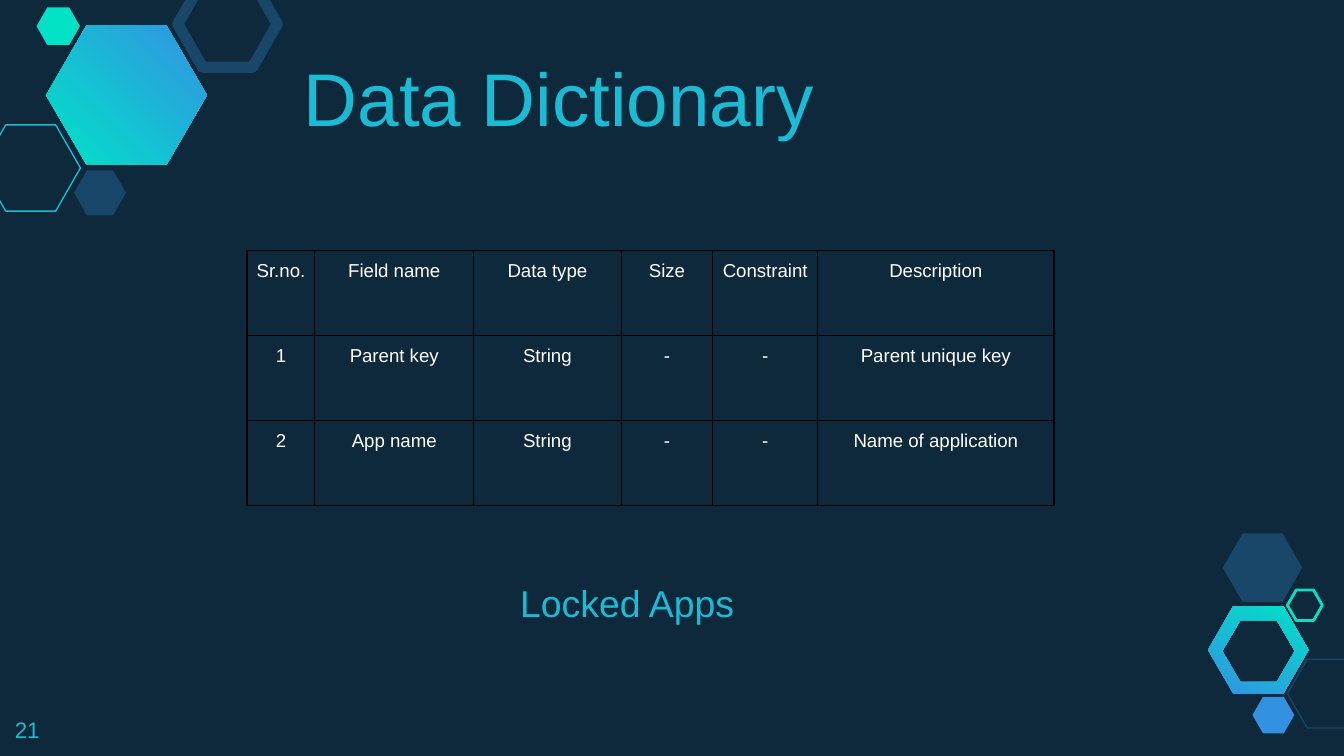
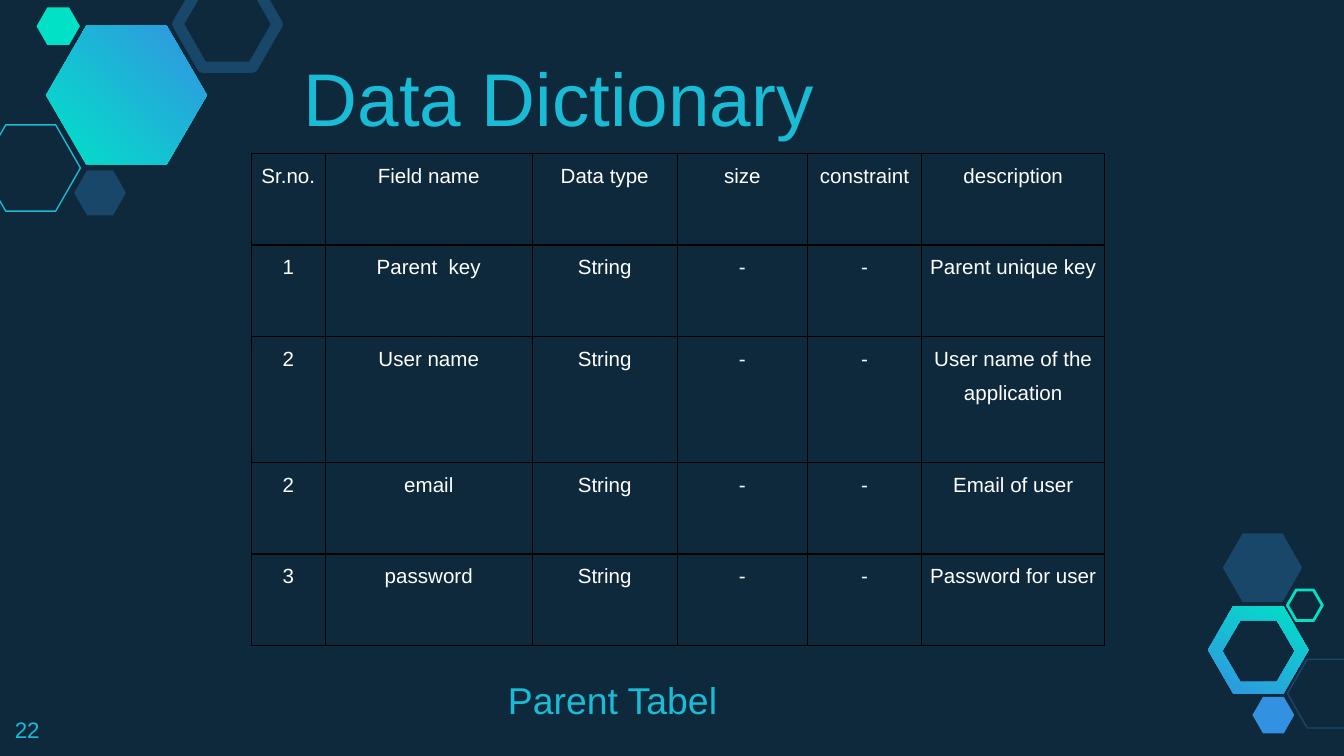
import pptx
import pptx.dml.color
import pptx.enum.shapes
import pptx.enum.text
import pptx.oxml
import pptx.oxml.ns
import pptx.util
from dataclasses import dataclass

Cm = pptx.util.Cm
Pt = pptx.util.Pt
ALIGN = pptx.enum.text.PP_ALIGN
ANCHOR = pptx.enum.text.MSO_ANCHOR
NS = pptx.oxml.ns.nsdecls("a")


@dataclass(frozen=True)
class Theme:
    font: str = "Arial"
    bg: str = "0E293C"
    accent: str = "19BBD5"
    navy: str = "184769"
    mint: str = "00E1C6"
    blue: str = "3292E1"
    grad: tuple = ("3393E2", "00E2C7")
    white: str = "FFFFFF"
    border: str = "000000"
    border_pt: float = 0.75
    title_pt: int = 40
    caption_pt: int = 20
    number_pt: int = 12


def rgb(value):
    return pptx.dml.color.RGBColor.from_string(value)


def set_attrs(obj, values):
    for name, value in values.items():
        setattr(obj, name, value)


def hex_points(x, y, w, h):
    return [(x, y + h / 2), (x + w / 4, y), (x + w * 3 / 4, y),
            (x + w, y + h / 2), (x + w * 3 / 4, y + h), (x + w / 4, y + h)]


class Deck:
    def __init__(self, theme):
        self.theme = theme
        self.prs = pptx.Presentation()
        set_attrs(self.prs, {"slide_width": Cm(25.4), "slide_height": Cm(14.29)})
        self.layout = self.prs.slide_layouts.get_by_name("Title Only")
        fill = self.layout.background.fill
        fill.solid()
        fill.fore_color.rgb = rgb(theme.bg)
        self.s = None

    def slide(self):
        self.s = self.prs.slides.add_slide(self.layout)

    def style_text(self, tf, text, size, color, **fmt):
        tf.text = text
        p = tf.paragraphs[0]
        set_attrs(p, {"alignment": ALIGN.LEFT, **fmt})
        r = p.runs[0]
        set_attrs(r.font, {"name": self.theme.font, "size": Pt(size), "bold": False})
        r.font.color.rgb = rgb(color)

    def frame(self, sp, box, text, size, anchor):
        set_attrs(sp, dict(zip(("left", "top", "width", "height"), map(Cm, box))))
        tf = sp.text_frame
        margins = ("margin_left", "margin_top", "margin_right", "margin_bottom")
        set_attrs(tf, {"word_wrap": True, "vertical_anchor": anchor,
                       "auto_size": pptx.enum.text.MSO_AUTO_SIZE.NONE,
                       **dict.fromkeys(margins, Cm(0.25))})
        self.style_text(tf, text, size, self.theme.accent)

    def title(self, text):
        self.frame(self.s.shapes.title, (5.49, 1.12, 16.89, 1.8), text,
                   self.theme.title_pt, ANCHOR.BOTTOM)

    def text(self, box, text, size, anchor=ANCHOR.TOP):
        sp = self.s.shapes.add_textbox(*map(Cm, box))
        self.frame(sp, box, text, size, anchor)

    def hexagon(self, box, fill=None, line=None, width=0.75):
        kind = pptx.enum.shapes.MSO_SHAPE.HEXAGON
        sp = self.s.shapes.add_shape(kind, *map(Cm, box))
        sp.adjustments[0] = 0.287
        sp.rotation = 180
        sp.shadow.inherit = False
        if fill:
            sp.fill.solid()
            sp.fill.fore_color.rgb = rgb(fill)
        else:
            sp.fill.background()
        if line:
            sp.line.color.rgb = rgb(line)
            sp.line.width = Pt(width)
        else:
            sp.line.fill.background()

    def gradient_outline(self, contours, rotation):
        contours = [[(Cm(x), Cm(y)) for x, y in c] for c in contours]
        builder = self.s.shapes.build_freeform(*contours[0][0], scale=1.0)
        builder.add_line_segments(contours[0][1:], close=True)
        for c in contours[1:]:
            builder.move_to(*c[0])
            builder.add_line_segments(c[1:], close=True)
        sp = builder.convert_to_shape()
        sp.rotation = rotation
        sp.shadow.inherit = False
        sp.line.fill.background()
        sp.fill.gradient()
        for stop, color, pos in zip(sp.fill.gradient_stops, self.theme.grad, (0, 1)):
            stop.color.rgb = rgb(color)
            stop.position = pos
        return sp

    def ring(self):
        outer = hex_points(22.83, 11.46, 1.9, 1.65)
        inner = hex_points(23.09, 11.68, 1.37, 1.17)[::-1]
        self.gradient_outline([outer, inner], 180).fill.gradient_angle = 244

    def big_hexagon(self):
        points = [(x, y) for y, x in hex_points(0.28, 1.08, 3.04, 2.62)]
        sp = self.gradient_outline([points], 90)
        lin = sp._element.find(".//" + pptx.oxml.ns.qn("a:lin"))
        lin.getparent().replace(lin, pptx.oxml.parse_xml(
            f'<a:path {NS} path="circle"><a:fillToRect l="100000" b="100000"/></a:path>'))

    def decorate_layout(self):
        t = self.theme
        before = len(self.s.shapes)
        self.ring()
        self.big_hexagon()
        for box, fmt in (
            ((-0.36, 2.36, 1.88, 1.63), {"line": t.accent}),
            ((1.4, 3.22, 0.98, 0.85), {"fill": t.navy}),
            ((3.36, -0.36, 1.88, 1.63), {"line": t.navy, "width": 6}),
            ((0.69, 0.14, 0.82, 0.71), {"fill": t.mint}),
            ((24.33, 12.46, 1.5, 1.3), {"line": t.navy}),
            ((23.67, 13.17, 0.79, 0.69), {"fill": t.blue}),
            ((23.11, 10.08, 1.5, 1.3), {"fill": t.navy}),
            ((24.33, 11.15, 0.66, 0.58), {"line": t.mint, "width": 1.5}),
        ):
            self.hexagon(box, **fmt)
        tree = self.layout.shapes._spTree
        for i, sp in enumerate(list(self.s.shapes)[before:]):
            el = sp._element
            el.nvSpPr.cNvPr.set("id", str(20 + i))
            tree.insert(2 + i, el)

    def cell_borders(self, cell):
        tc_pr = cell._tc.get_or_add_tcPr()
        for i, side in enumerate("LRTB"):
            tc_pr.insert(i, pptx.oxml.parse_xml(
                f'<a:ln{side} {NS} w="{Pt(self.theme.border_pt)}"><a:solidFill>'
                f'<a:srgbClr val="{self.theme.border}"/></a:solidFill></a:ln{side}>'))

    def table(self, left, top, widths, heights, rows, size):
        box = (left, top, sum(widths), sum(heights))
        tbl = self.s.shapes.add_table(len(rows), len(widths), *map(Cm, box)).table
        set_attrs(tbl, {"first_row": False, "horz_banding": False})
        for col, w in zip(tbl.columns, widths):
            col.width = Cm(w)
        for row, h, texts in zip(tbl.rows, heights, rows):
            row.height = Cm(h)
            for cell, text in zip(row.cells, texts):
                set_attrs(cell, {"margin_left": 0, "margin_right": 0,
                                 "margin_top": 0, "margin_bottom": 0})
                cell.fill.background()
                self.cell_borders(cell)
                self.style_text(cell.text_frame, text, size, self.theme.white,
                                alignment=ALIGN.CENTER, line_spacing=1.5,
                                space_before=Pt(12))


def field(number, name, description):
    return (number, name, "String", "-", "-", description)


def main():
    theme = Theme()
    deck = Deck(theme)
    pages = (
        {"number": "21", "caption": "Locked Apps", "caption_at": (9.58, 10.87),
         "table": {
             "left": 4.67, "top": 4.73, "size": 10,
             "widths": (1.28, 3.0, 2.79, 1.73, 1.98, 4.47),
             "heights": (1.61,) * 3,
             "rows": (
                 ("Sr.no.", "Field name", "Data type", "Size", "Constraint", "Description"),
                 field("1", "Parent key", "Parent unique key"),
                 field("2", "App name", "Name of application"))}},
        {"number": "22", "caption": "Parent Tabel", "caption_at": (9.35, 12.7),
         "table": {
             "left": 4.75, "top": 2.9, "size": 11,
             "widths": (1.4, 3.91, 2.74, 2.46, 2.16, 3.46),
             "heights": (1.73, 1.73, 2.38, 1.73, 1.73),
             "rows": (
                 ("Sr.no.", "Field name", "Data type", "size", "constraint", "description"),
                 field("1", "Parent  key", "Parent unique key"),
                 field("2", "User name", "User name of the application"),
                 field("2", "email", "Email of user"),
                 field("3", "password", "Password for user"))}},
    )
    for i, page in enumerate(pages):
        deck.slide()
        if i == 0:
            deck.decorate_layout()
        deck.title("Data Dictionary")
        deck.text((0.03, 13.28, 1.52, 1.0), page["number"], theme.number_pt)
        deck.text((*page["caption_at"], 10.19, 1.19), page["caption"],
                  theme.caption_pt, ANCHOR.BOTTOM)
        deck.table(**page["table"])
    deck.prs.save("out.pptx")


if __name__ == "__main__":
    main()
